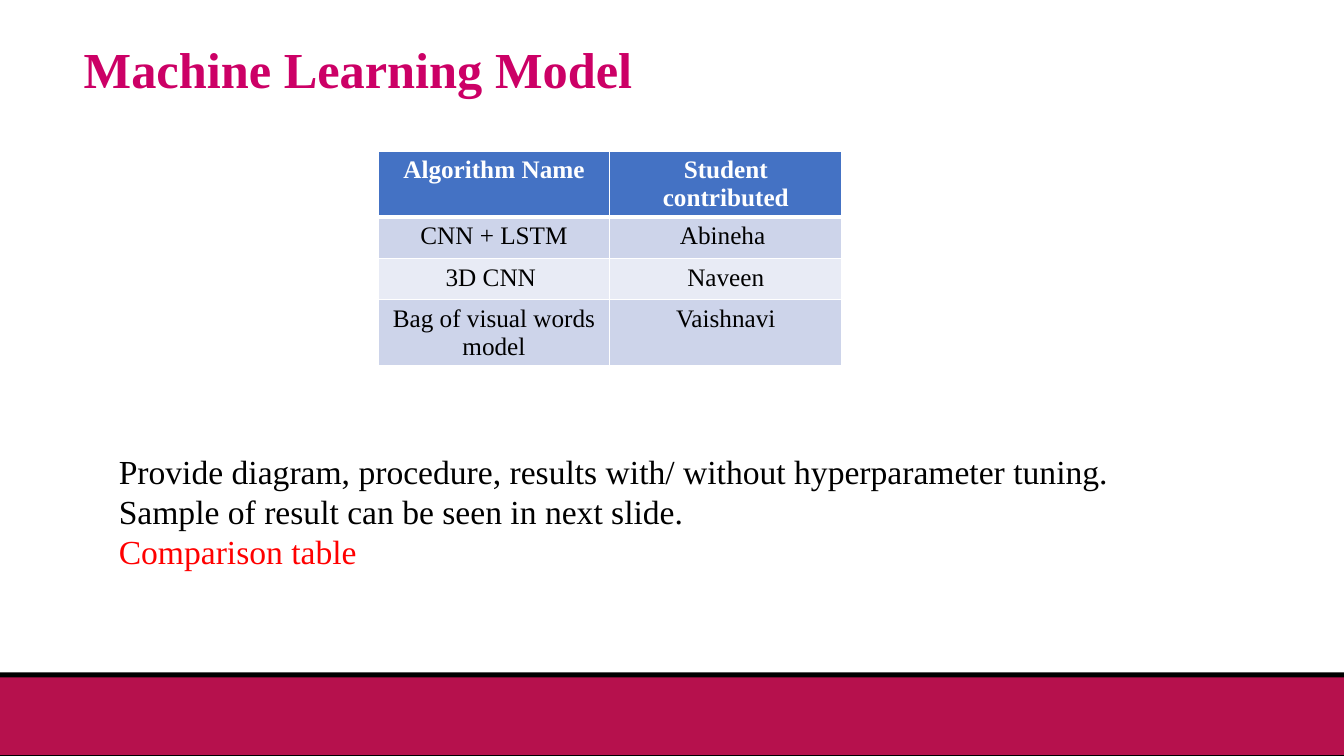
from dataclasses import dataclass

from lxml import etree
from pptx import Presentation
from pptx.dml.color import RGBColor
from pptx.enum.shapes import MSO_SHAPE
from pptx.enum.text import MSO_ANCHOR, MSO_AUTO_SIZE, PP_ALIGN
from pptx.oxml.ns import qn
from pptx.util import Inches, Pt

RECT = MSO_SHAPE.RECTANGLE
LEFT, CENTER = PP_ALIGN.LEFT, PP_ALIGN.CENTER
TOP, MIDDLE = MSO_ANCHOR.TOP, MSO_ANCHOR.MIDDLE
NO_FIT, GROW = MSO_AUTO_SIZE.NONE, MSO_AUTO_SIZE.SHAPE_TO_FIT_TEXT
TITLE_ONLY = 5
SLIDE_W, SLIDE_H = Inches(13.33), Inches(7.5)
FONT = "Times New Roman"
COLORS = {
    "black": "000000",
    "white": "FFFFFF",
    "footer": "B6114D",
    "title": "CC0066",
    "red": "FF0000",
    "header": "4472C4",
    "band_dark": "CDD4EA",
    "band_light": "E8EBF5",
}


@dataclass(frozen=True)
class Box:
    """Position and size in percent of the slide."""
    x: float
    y: float
    w: float
    h: float

    def emu(self) -> tuple[int, int, int, int]:
        return (int(SLIDE_W * self.x / 100), int(SLIDE_H * self.y / 100),
                int(SLIDE_W * self.w / 100), int(SLIDE_H * self.h / 100))


@dataclass(frozen=True)
class Bar:
    box: Box
    color: str


@dataclass(frozen=True)
class Line:
    text: str
    color: str = "black"


TITLE_BOX = Box(5.48, 4.67, 86.25, 9.87)
TABLE_BOX = Box(28.13, 20, 34.5, 21.88)
NOTE_BOX = Box(8.1, 58.93, 75.75, 17.47)
FOOTER = [
    Bar(Box(0, 88.93, 100, 11.07), "black"),
    Bar(Box(0, 89.6, 100, 10.27), "footer"),
]
ALGORITHMS = [
    ("Algorithm Name", "Student contributed"),
    ("CNN + LSTM", "Abineha "),
    ("3D CNN ", "Naveen"),
    ("Bag of visual words model", "Vaishnavi"),
]
NOTES = [
    Line("Provide diagram, procedure, results with/ without hyperparameter tuning."),
    Line("Sample of result can be seen in next slide."),
    Line("Comparison table", "red"),
]


def rgb(name: str) -> RGBColor:
    return RGBColor.from_string(COLORS[name])


def write(p, text: str, *, size: int, color: str = "black",
          bold: bool = False, align=LEFT, spacing: float = 1.0) -> None:
    p.alignment = align
    p.line_spacing = spacing
    r = p.add_run()
    r.text = text
    r.font.name = FONT
    r.font.size = Pt(size)
    r.font.bold = bold
    r.font.color.rgb = rgb(color)


def add_bar(slide, bar: Bar) -> None:
    sp = slide.shapes.add_shape(RECT, *bar.box.emu())
    sp.shadow.inherit = False
    sp.fill.solid()
    sp.fill.fore_color.rgb = rgb(bar.color)
    sp.line.fill.background()


def set_title(slide, text: str) -> None:
    sp = slide.shapes.title
    sp.left, sp.top, sp.width, sp.height = TITLE_BOX.emu()
    tf = sp.text_frame
    tf.auto_size = NO_FIT
    tf.vertical_anchor = MIDDLE
    write(tf.paragraphs[0], text, size=36, color="title", bold=True, spacing=0.9)


def set_borders(cell, top: float, bottom: float) -> None:
    tc_pr = cell._tc.get_or_add_tcPr()
    for side, width in (("L", 1), ("R", 1), ("T", top), ("B", bottom)):
        ln = etree.SubElement(tc_pr, qn(f"a:ln{side}"), w=str(Pt(width)))
        fill = etree.SubElement(ln, qn("a:solidFill"))
        etree.SubElement(fill, qn("a:srgbClr"), val=COLORS["white"])


def add_algorithm_table(slide) -> None:
    rows, cols = len(ALGORITHMS), len(ALGORITHMS[0])
    table = slide.shapes.add_table(rows, cols, *TABLE_BOX.emu()).table
    for i, values in enumerate(ALGORITHMS):
        is_header = i == 0
        band = "header" if is_header else ("band_light", "band_dark")[i % 2]
        for j, text in enumerate(values):
            cell = table.cell(i, j)
            set_borders(cell, top=3 if i == 1 else 1, bottom=3 if is_header else 1)
            cell.fill.solid()
            cell.fill.fore_color.rgb = rgb(band)
            write(cell.text_frame.paragraphs[0], text, size=18, align=CENTER,
                  bold=is_header, color="white" if is_header else "black")


def add_notes(slide) -> None:
    tf = slide.shapes.add_textbox(*NOTE_BOX.emu()).text_frame
    tf.word_wrap = True
    tf.auto_size = GROW
    tf.vertical_anchor = TOP
    for i, line in enumerate(NOTES):
        p = tf.add_paragraph() if i else tf.paragraphs[0]
        write(p, line.text, size=24, color=line.color)


def main() -> None:
    prs = Presentation()
    prs.slide_width, prs.slide_height = SLIDE_W, SLIDE_H
    slide = prs.slides.add_slide(prs.slide_layouts[TITLE_ONLY])
    for bar in FOOTER:
        add_bar(slide, bar)
    set_title(slide, "Machine Learning Model")
    add_algorithm_table(slide)
    add_notes(slide)
    prs.save("out.pptx")


if __name__ == "__main__":
    main()
